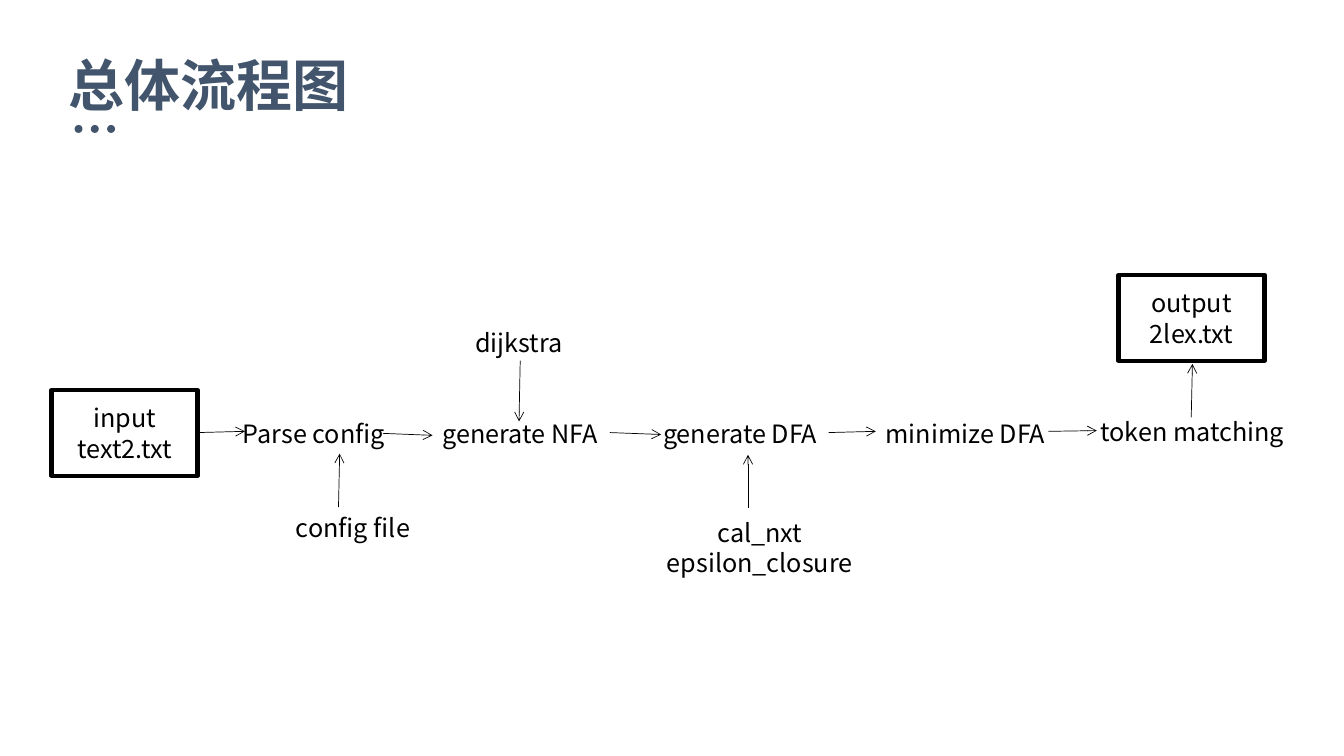
from dataclasses import dataclass

from lxml import etree
from pptx import Presentation
from pptx.dml.color import RGBColor
from pptx.enum.shapes import MSO_CONNECTOR, MSO_SHAPE
from pptx.enum.text import MSO_ANCHOR, MSO_AUTO_SIZE, PP_ALIGN
from pptx.oxml.ns import qn
from pptx.util import Cm, Pt

LEFT, CENTER = PP_ALIGN.LEFT, PP_ALIGN.CENTER
TOP, MIDDLE = MSO_ANCHOR.TOP, MSO_ANCHOR.MIDDLE
NO_AUTOFIT = MSO_AUTO_SIZE.NONE
RECTANGLE, OVAL = MSO_SHAPE.RECTANGLE, MSO_SHAPE.OVAL
STRAIGHT = MSO_CONNECTOR.STRAIGHT


@dataclass(frozen=True)
class Theme:
    font: str = "Noto Sans CJK SC"
    accent: RGBColor = RGBColor(0x42, 0x55, 0x6C)
    ink: RGBColor = RGBColor(0, 0, 0)
    paper: RGBColor = RGBColor(255, 255, 255)
    title_size: Pt = Pt(40)
    body_size: Pt = Pt(18)
    body_leading: Pt = Pt(21.6)
    box_line: Pt = Pt(3)
    arrow_line: Pt = Pt(0.5)


theme = Theme()


def style_paragraph(paragraph, size, color, alignment, bold=False):
    """Format a paragraph, with the same font for Latin and East Asian text."""
    paragraph.alignment = alignment
    font = paragraph.font
    font.name, font.size, font.bold = theme.font, size, bold
    font.color.rgb = color
    properties = paragraph._p.pPr.find(qn("a:defRPr"))
    latin = properties.find(qn("a:latin"))
    east_asian = etree.Element(qn("a:ea"), typeface=theme.font)
    latin.addnext(east_asian)


def write_body(shape, text, alignment, anchor):
    frame = shape.text_frame
    frame.word_wrap = True
    frame.auto_size = NO_AUTOFIT
    frame.vertical_anchor = anchor
    frame.text = text
    for paragraph in frame.paragraphs:
        paragraph.line_spacing = theme.body_leading
        style_paragraph(paragraph, theme.body_size, theme.ink, alignment)


presentation = Presentation()
presentation.slide_width, presentation.slide_height = Cm(33.87), Cm(19.05)
slide = presentation.slides.add_slide(presentation.slide_layouts[5])
shapes = slide.shapes

# Title with three dots below
title = shapes.title
title.left, title.top, title.width, title.height = Cm(1.73), Cm(1.27), Cm(29.59), Cm(1.7)
frame = title.text_frame
frame.margin_left = frame.margin_right = frame.margin_top = frame.margin_bottom = 0
frame.auto_size = NO_AUTOFIT
frame.vertical_anchor = MIDDLE
frame.text = "总体流程图"
style_paragraph(frame.paragraphs[0], theme.title_size, theme.accent, LEFT, bold=True)

dots = shapes.add_group_shape()
for index in range(3):
    dot = dots.shapes.add_shape(OVAL, Cm(1.88 + 0.41 * index), Cm(3.15), Cm(0.2), Cm(0.2))
    dot.shadow.inherit = False
    dot.fill.solid()
    dot.fill.fore_color.rgb = theme.accent
    dot.line.fill.background()

# Framed input and output files
for text, left, top in [("input\ntext2.txt", 1.3, 9.83), ("output\n2lex.txt", 28.19, 6.93)]:
    box = shapes.add_shape(RECTANGLE, Cm(left), Cm(top), Cm(3.68), Cm(2.16))
    box.shadow.inherit = False
    box.fill.solid()
    box.fill.fore_color.rgb = theme.paper
    box.line.color.rgb = theme.ink
    box.line.width = theme.box_line
    write_body(box, text, CENTER, MIDDLE)

# Steps of the flow and what feeds them: text, left, top, width, height, alignment
labels = [
    ("Parse config", 5.87, 10.41, 4.72, 1.02, LEFT),
    ("generate NFA", 10.9, 10.41, 5.26, 1.02, LEFT),
    ("generate DFA", 16.46, 10.41, 4.78, 1.02, LEFT),
    ("minimize DFA", 22.07, 10.41, 4.8, 1.02, LEFT),
    ("token matching", 27.48, 10.36, 5.89, 1.02, LEFT),
    ("config file", 7.21, 12.78, 3.58, 1.02, LEFT),
    ("dijkstra", 11.73, 8.13, 3.3, 1.02, LEFT),
    ("cal_nxt\nepsilon_closure", 16.23, 12.9, 5.84, 1.8, CENTER),
]
for text, left, top, width, height, alignment in labels:
    label = shapes.add_textbox(Cm(left), Cm(top), Cm(width), Cm(height))
    write_body(label, text, alignment, TOP)

# Arrows: start x, start y, end x, end y
arrows = [
    (4.98, 10.9, 6.17, 10.87),
    (9.65, 10.92, 10.9, 10.97),
    (15.37, 10.9, 16.66, 10.95),
    (20.88, 10.9, 22.07, 10.87),
    (26.42, 10.87, 27.64, 10.85),
    (13.11, 9.09, 13.08, 10.62),
    (8.53, 12.78, 8.56, 11.43),
    (18.85, 12.8, 18.85, 11.46),
    (30.02, 10.52, 30.05, 9.17),
]
for points in arrows:
    arrow = shapes.add_connector(STRAIGHT, *[Cm(value) for value in points])
    arrow.line.color.rgb = theme.ink
    arrow.line.width = theme.arrow_line
    etree.SubElement(arrow.line._get_or_add_ln(), qn("a:tailEnd"), type="arrow")
    etree.SubElement(arrow._element.spPr, qn("a:effectLst"))

presentation.save("out.pptx")
